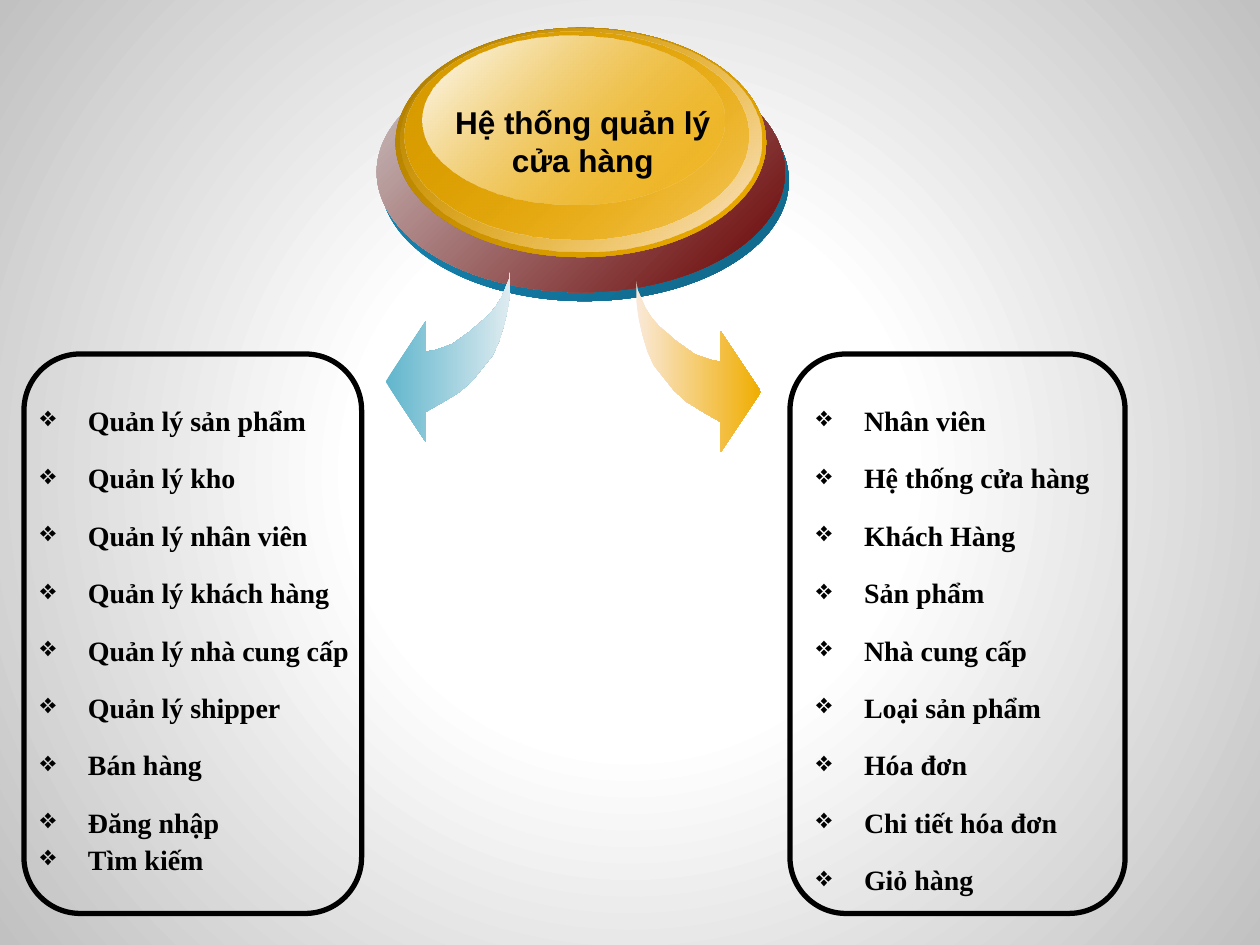
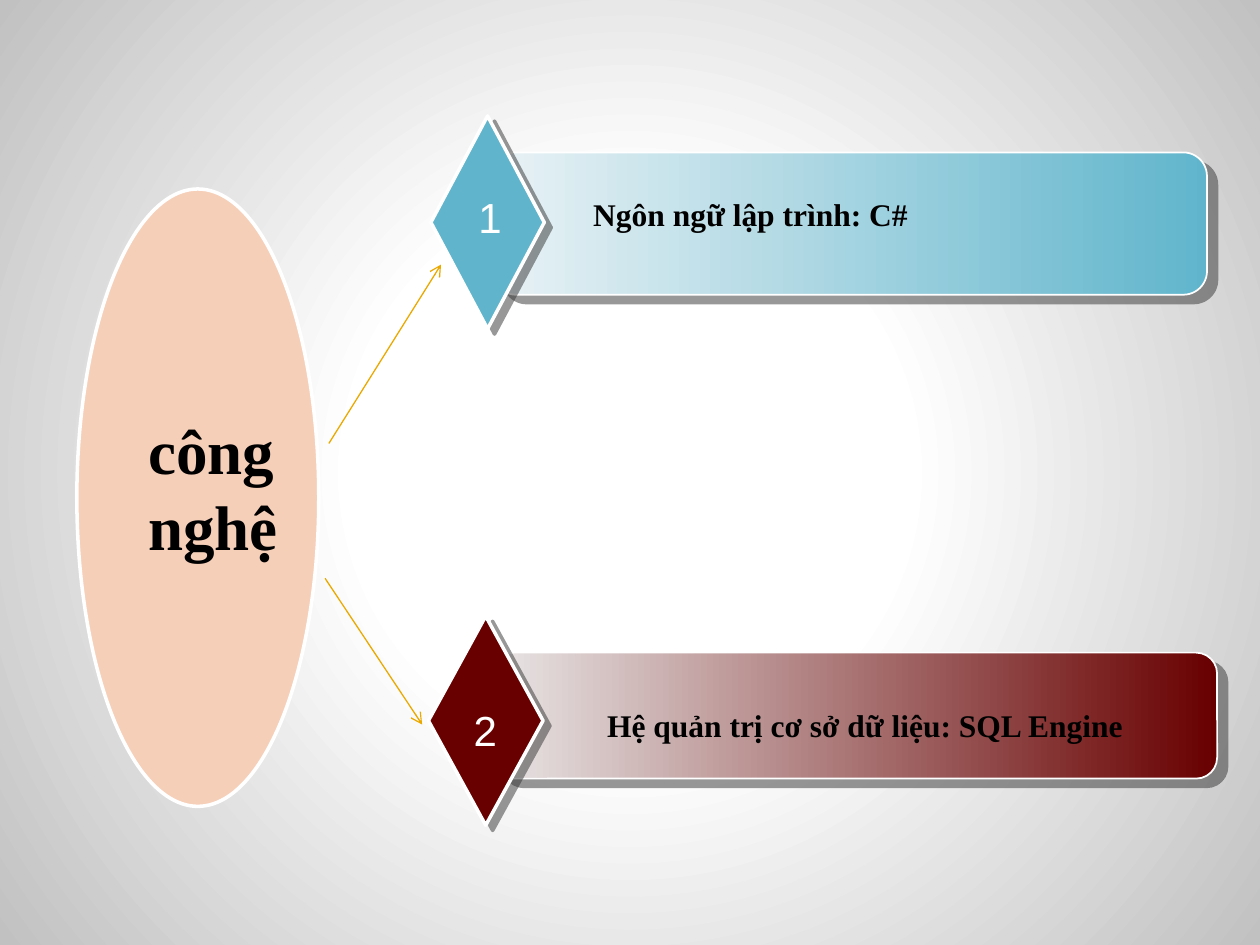
"""Build two slides on a store management system: its functions and its technology."""
import pptx
import pptx.dml.color
import pptx.enum.shapes
import pptx.enum.text
import pptx.oxml
import pptx.oxml.ns
import pptx.util
import lxml.etree

SHAPES = pptx.enum.shapes.MSO_SHAPE
CENTER = pptx.enum.text.PP_ALIGN.CENTER
LEFT = pptx.enum.text.PP_ALIGN.LEFT
SERIF, SANS = "Times New Roman", "Arial"
BLACK, WHITE, SHADOW = "000000", "FFFFFF", "333333"
GOLD, PALE_GOLD, BLUE, PALE_BLUE, MAROON = "F0AD00", "FAE9D8", "60B5CC", "DDEBF0", "680000"
NAMESPACE = pptx.oxml.ns.nsdecls("a")

presentation = pptx.Presentation()
presentation.slide_width = pptx.util.Inches(10)
presentation.slide_height = pptx.util.Inches(7.5)
cell = presentation.slide_width // 100


def paint(fill, *colors, angle=0):
    """Fill with one hex colour, or with a gradient between two."""
    if len(colors) == 1:
        fill.solid()
        fill.fore_color.rgb = pptx.dml.color.RGBColor.from_string(colors[0])
        return
    fill.gradient()
    fill.gradient_angle = -angle % 360
    for stop, color, position in zip(fill.gradient_stops, colors, (0, 1)):
        stop.color.rgb = pptx.dml.color.RGBColor.from_string(color)
        stop.position = position


def add_text(slide, box, lines, font_name, size, color=BLACK, bold=True, align=LEFT, wrap=True):
    """Add a text box with one paragraph per line and return its paragraphs."""
    frame = slide.shapes.add_textbox(*(round(length * cell) for length in box)).text_frame
    frame.word_wrap = wrap
    for index, line in enumerate(lines):
        paragraph = frame.add_paragraph() if index else frame.paragraphs[0]
        paragraph.alignment = align
        run = paragraph.add_run()
        run.text = line
        run.font.name, run.font.size, run.font.bold = font_name, pptx.util.Pt(size), bold
        paint(run.font.fill, color)
    return frame.paragraphs


slides = [presentation.slides.add_slide(presentation.slide_layouts[6]) for _ in range(2)]
for slide in slides:
    paint(slide.background.fill, WHITE, "C1C1C1")
    slide.background.fill.gradient_stops[0].position = 0.35
    linear = slide.element.xpath(".//a:gradFill/a:lin")[0]
    linear.getparent().replace(linear, pptx.oxml.parse_xml(
        f'<a:path {NAMESPACE} path="circle">'
        '<a:fillToRect l="50000" t="50000" r="50000" b="50000"/></a:path>'))
system_slide, technology_slide = slides

ellipses = [
    ((30.2, 4.8, 32.4, 19.1), ("168BBA", "106688"), (100, 100)),
    ((29.9, 4.1, 32.4, 19.1), ("CEC6C6", MAROON), (100, 100)),
    ((31.4, 2.2, 29.4, 18.2), ("AC7C00", GOLD), (100, 100)),
    ((31.8, 2.3, 28.6, 17.7), (GOLD, "FAE7D4"), (0, 100)),
    ((32.1, 2.5, 27.3, 16.5), ("D99C00", GOLD), (100, 48)),
    ((33.5, 2.8, 24, 13.4), (WHITE, GOLD), (100, 38)),
]
for box, colors, opacities in ellipses:
    ellipse = system_slide.shapes.add_shape(SHAPES.OVAL, *(round(length * cell) for length in box))
    ellipse.shadow.inherit = False
    ellipse.line.fill.background()
    paint(ellipse.fill, *colors, angle=45)
    for color, opacity in zip(ellipse.element.xpath(".//a:gs/a:srgbClr"), opacities):
        if opacity < 100:
            lxml.etree.SubElement(color, pptx.oxml.ns.qn("a:alpha"), val=str(opacity * 1000))
add_text(system_slide, (35, 7.7, 22.5, 7.1), ["Hệ thống quản lý cửa hàng"], SANS, 18, align=CENTER)

arrow_outline = [
    (0, 0), (0, 1.6), (0.2, 3), (0.5, 4.3), (0.9, 5.6), (1.4, 6.7), (2.2, 7.7), (3, 8.7),
    (4, 9.6), (5.3, 10.4), (6.7, 11.2), (6.7, 13.6), (9.9, 8.8), (6.7, 4), (6.7, 6.4),
    (6, 6.3), (5.4, 6.1), (4.6, 5.8), (3.9, 5.3), (3.2, 4.8), (2.5, 4.2), (1.8, 3.6),
    (1.2, 2.9), (0.7, 2.1), (0.4, 1.4), (0.1, 0.7),
]
for left, top, direction, colors in [(40.5, 21.5, -1, (BLUE, PALE_BLUE)),
                                     (50.5, 22.3, 1, (PALE_GOLD, GOLD))]:
    points = [(round((left + direction * across) * cell), round((top + down) * cell))
              for across, down in arrow_outline]
    builder = system_slide.shapes.build_freeform(*points[0])
    builder.add_line_segments(points[1:], close=True)
    arrow = builder.convert_to_shape()
    arrow.shadow.inherit = False
    arrow.line.fill.background()
    paint(arrow.fill, *colors)

functions = ["Quản lý sản phẩm", "Quản lý kho", "Quản lý nhân viên", "Quản lý khách hàng",
             "Quản lý nhà cung cấp", "Quản lý shipper", "Bán hàng", "Đăng nhập", "Tìm kiếm"]
entities = ["Nhân viên", "Hệ thống cửa hàng", "Khách Hàng", "Sản phẩm", "Nhà cung cấp",
            "Loại sản phẩm", "Hóa đơn", "Chi tiết hóa đơn", "Giỏ hàng"]
for frame_box, text_box, items in [
    ((1.9, 28.1, 26.8, 44.4), (2.2, 30.2, 30, 40.2), functions),
    ((62.7, 28.1, 26.6, 44.4), (63.8, 30.2, 25.4, 41.8), entities),
]:
    border = system_slide.shapes.add_shape(
        SHAPES.ROUNDED_RECTANGLE, *(round(length * cell) for length in frame_box))
    border.shadow.inherit = False
    border.fill.background()
    paint(border.line.fill, BLACK)
    border.line.width = pptx.util.Pt(3)
    for paragraph in add_text(system_slide, text_box, items, SERIF, 16):
        if paragraph.text != "Tìm kiếm":
            paragraph.line_spacing = 1.5
            paragraph.space_before = paragraph.space_after = pptx.util.Pt(2)
        properties = paragraph._p.get_or_add_pPr()
        indent = pptx.util.Inches(0.38)
        properties.set("marL", str(indent))
        properties.set("indent", str(-indent))
        lxml.etree.SubElement(properties, pptx.oxml.ns.qn("a:buChar"), char="❖")

topic = technology_slide.shapes.add_shape(
    SHAPES.OVAL, *(round(length * cell) for length in (6.1, 15, 19.2, 49)))
topic.shadow.inherit = False
paint(topic.fill, "F6CFB9")
paint(topic.line.fill, WHITE)
topic.line.width = pptx.util.Pt(2)
add_text(technology_slide, (10.8, 32.2, 15, 13.1), ["công nghệ"], SERIF, 36)

technologies = [
    ("1", "Ngôn ngữ lập trình: C#", ("E9F2F5", BLUE), (39.1, 12.1, 56.7, 11.3),
     (34.2, 9.2, 9, 16.9), (36.6, 14.7, 4.6, 11.3), (46.1, 15, 40, 7.1), (26.1, 35.2, 35, 21)),
    ("2", "Hệ quản trị cơ sở dữ liệu: SQL Engine", ("E9E6E6", MAROON), (39.1, 51.8, 57.5, 10),
     (34, 48.9, 9.1, 16.6), (36.6, 55.4, 3.8, 5), (47.2, 55.5, 43.5, 7.1), (25.8, 45.9, 33.5, 57.5)),
]
for number, label, colors, bar_box, diamond_box, number_box, label_box, ends in technologies:
    for kind, box, fill_colors, line_width, distance, direction in [
        (SHAPES.ROUNDED_RECTANGLE, bar_box, colors, 1, 7.8, 40),
        (SHAPES.DIAMOND, diamond_box, colors[1:], 2, 5, 37),
    ]:
        shape = technology_slide.shapes.add_shape(kind, *(round(length * cell) for length in box))
        paint(shape.fill, *fill_colors)
        paint(shape.line.fill, WHITE)
        shape.line.width = pptx.util.Pt(line_width)
        shape.shadow.inherit = False
        shape.element.xpath("./p:spPr/a:effectLst")[0].append(pptx.oxml.parse_xml(
            f'<a:outerShdw {NAMESPACE} dist="{pptx.util.Pt(distance)}" dir="{direction * 60000}" '
            f'algn="ctr" rotWithShape="0"><a:srgbClr val="{SHADOW}"><a:alpha val="50000"/>'
            '</a:srgbClr></a:outerShdw>'))
    add_text(technology_slide, number_box, [number], SANS, 24, WHITE, False, CENTER, False)
    add_text(technology_slide, label_box, [label], SERIF, 18)
    connector = technology_slide.shapes.add_connector(
        pptx.enum.shapes.MSO_CONNECTOR.STRAIGHT, *(round(length * cell) for length in ends))
    paint(connector.line.fill, "EBA900")
    connector.line.width = pptx.util.Pt(0.75)
    connector_properties = connector.element.spPr
    lxml.etree.SubElement(connector_properties.find(pptx.oxml.ns.qn("a:ln")),
                          pptx.oxml.ns.qn("a:tailEnd"), type="arrow")
    lxml.etree.SubElement(connector_properties, pptx.oxml.ns.qn("a:effectLst"))

presentation.save("out.pptx")
